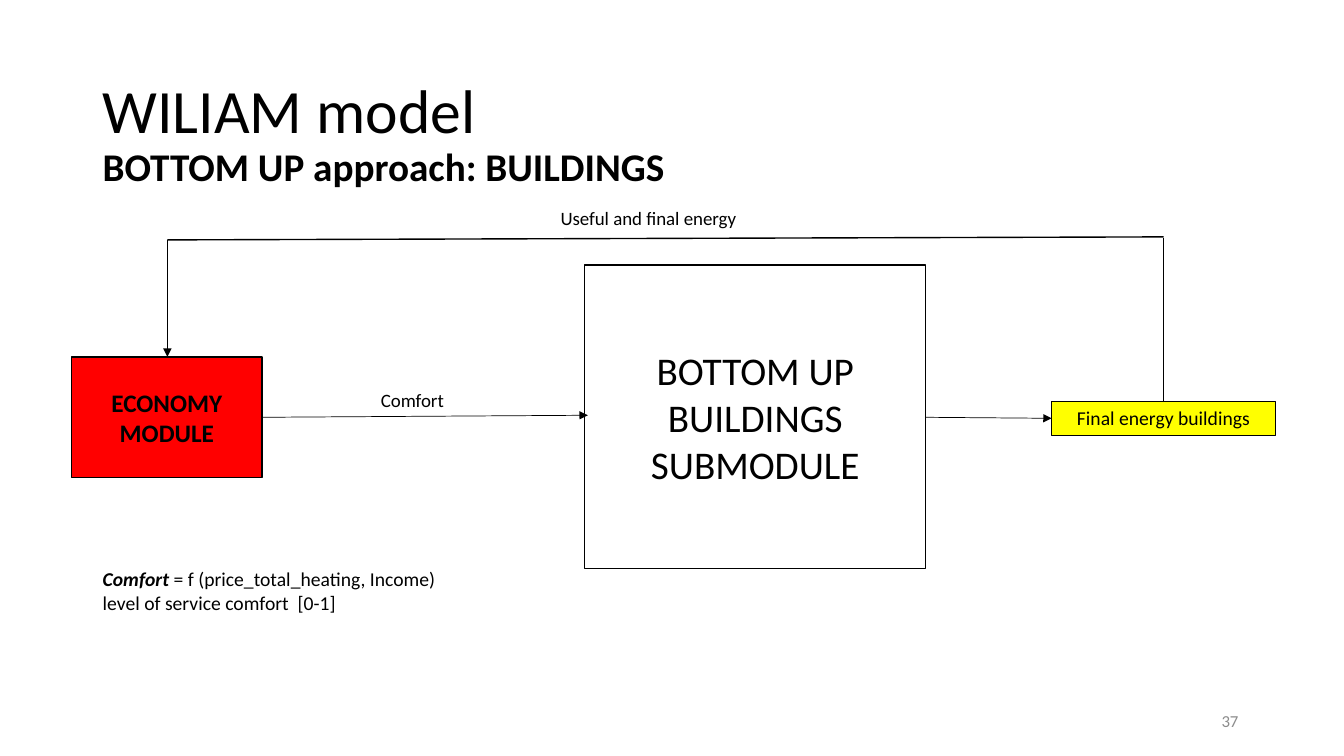
from lxml.etree import SubElement
from pptx import Presentation
from pptx.dml.color import RGBColor
from pptx.enum.shapes import MSO_CONNECTOR, MSO_SHAPE
from pptx.enum.text import MSO_ANCHOR, PP_ALIGN
from pptx.oxml.ns import qn
from pptx.util import Inches, Pt

COLORS = {"ink": "000000", "economy": "FF0000", "energy": "FFFF00", "number": "8C8C8C"}


class DiagramPage:
    font_name = "Calibri"

    def __init__(self, deck):
        self.page = deck.slides.add_slide(deck.slide_layouts[6])

    def color(self, name):
        return RGBColor.from_string(COLORS[name])

    def fill_frame(self, frame, lines, size, bold=None, align=PP_ALIGN.LEFT,
                   anchor=MSO_ANCHOR.TOP, color="ink", spacing=None, wrap=True):
        frame.word_wrap = wrap
        frame.vertical_anchor = anchor
        for index, line in enumerate(lines):
            para = frame.paragraphs[0] if index == 0 else frame.add_paragraph()
            para.alignment = align
            para.line_spacing = spacing
            para.font.name = self.font_name
            para.font.size = Pt(size)
            para.font.bold = bold
            para.font.color.rgb = self.color(color)
            para.add_run().text = line
        return frame

    def text(self, area, lines, size, **style):
        box = self.page.shapes.add_textbox(*map(Inches, area))
        return self.fill_frame(box.text_frame, lines, size, **style)

    def module(self, area, label, size, fill=None, line_width=1, bold=None,
               anchor=MSO_ANCHOR.MIDDLE):
        box = self.page.shapes.add_shape(MSO_SHAPE.RECTANGLE, *map(Inches, area))
        box.shadow.inherit = False
        if fill:
            box.fill.solid()
            box.fill.fore_color.rgb = self.color(fill)
        else:
            box.fill.background()
        box.line.color.rgb = self.color("ink")
        box.line.width = Pt(line_width)
        self.fill_frame(box.text_frame, [label], size, bold=bold,
                        align=PP_ALIGN.CENTER, anchor=anchor)

    def connect(self, start, end, width=1, arrow=False):
        link = self.page.shapes.add_connector(
            MSO_CONNECTOR.STRAIGHT, *map(Inches, start + end))
        link.line.color.rgb = self.color("ink")
        link.line.width = Pt(width)
        properties = link._element.spPr
        if arrow:
            SubElement(properties.find(qn("a:ln")), qn("a:tailEnd"), type="triangle")
        SubElement(properties, qn("a:effectLst"))


def main():
    deck = Presentation()
    deck.slide_width, deck.slide_height = Inches(13.33), Inches(7.5)
    diagram = DiagramPage(deck)

    diagram.text((0.92, 0.4, 11.5, 1.45), ["WILIAM model"], 44,
                 anchor=MSO_ANCHOR.MIDDLE, spacing=0.9)
    diagram.text((0.92, 1.42, 11.73, 5.14), ["BOTTOM UP approach: BUILDINGS"], 28,
                 bold=True, spacing=0.9)
    diagram.text((9.42, 6.95, 3, 0.4), ["37 "], 12, color="number",
                 align=PP_ALIGN.RIGHT, anchor=MSO_ANCHOR.MIDDLE)

    diagram.module((0.71, 3.54, 1.89, 1.2), "ECONOMY MODULE", 18, "economy", bold=True)
    diagram.module((5.8, 2.63, 3.38, 3.01), "BOTTOM UP BUILDINGS SUBMODULE", 28)
    diagram.module((10.43, 3.98, 2.22, 0.34), "Final energy buildings", 14, "energy",
                   line_width=0.75, anchor=MSO_ANCHOR.TOP)

    diagram.connect((2.6, 4.14), (5.83, 4.12), width=0.5, arrow=True)
    diagram.connect((9.18, 4.14), (10.43, 4.15), width=0.5, arrow=True)
    diagram.connect((11.54, 3.98), (11.54, 2.36))
    diagram.connect((11.54, 2.35), (1.66, 2.38))
    diagram.connect((1.66, 2.38), (1.66, 3.54), arrow=True)

    for label, left, top in (("Comfort", 2.73, 3.81), ("Useful and final energy", 5.07, 2)):
        diagram.text((left, top, 2.72, 0.33), [label], 13.5, align=PP_ALIGN.CENTER)

    formula = diagram.text((0.92, 5.58, 3.52, 0.57),
                           ["Comfort ", "level of service comfort  [0-1]"], 14, wrap=False)
    term = formula.paragraphs[0].runs[0]
    term.font.bold = term.font.italic = True
    formula.paragraphs[0].add_run().text = "= f (price_total_heating, Income)"

    deck.save("out.pptx")


if __name__ == "__main__":
    main()
